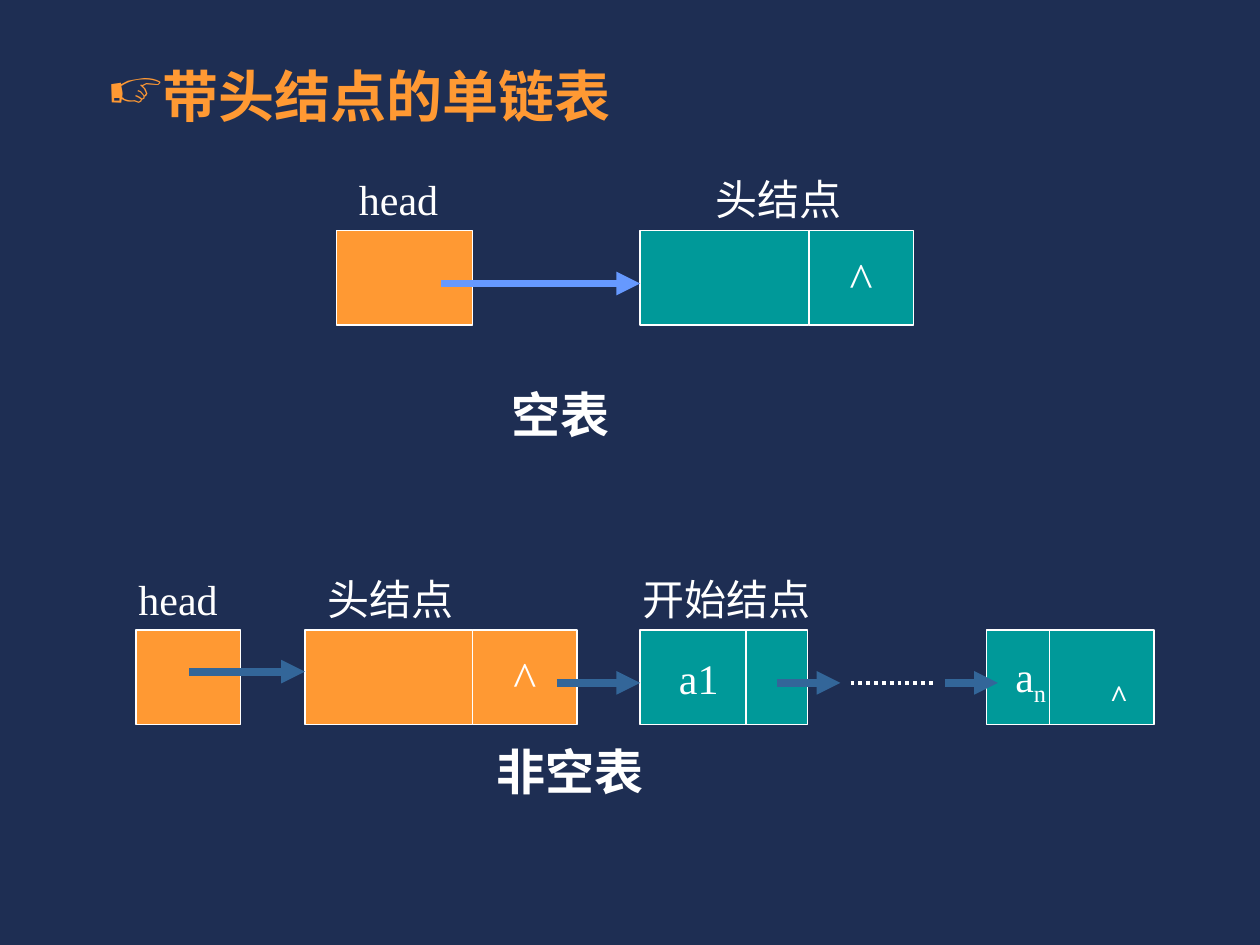
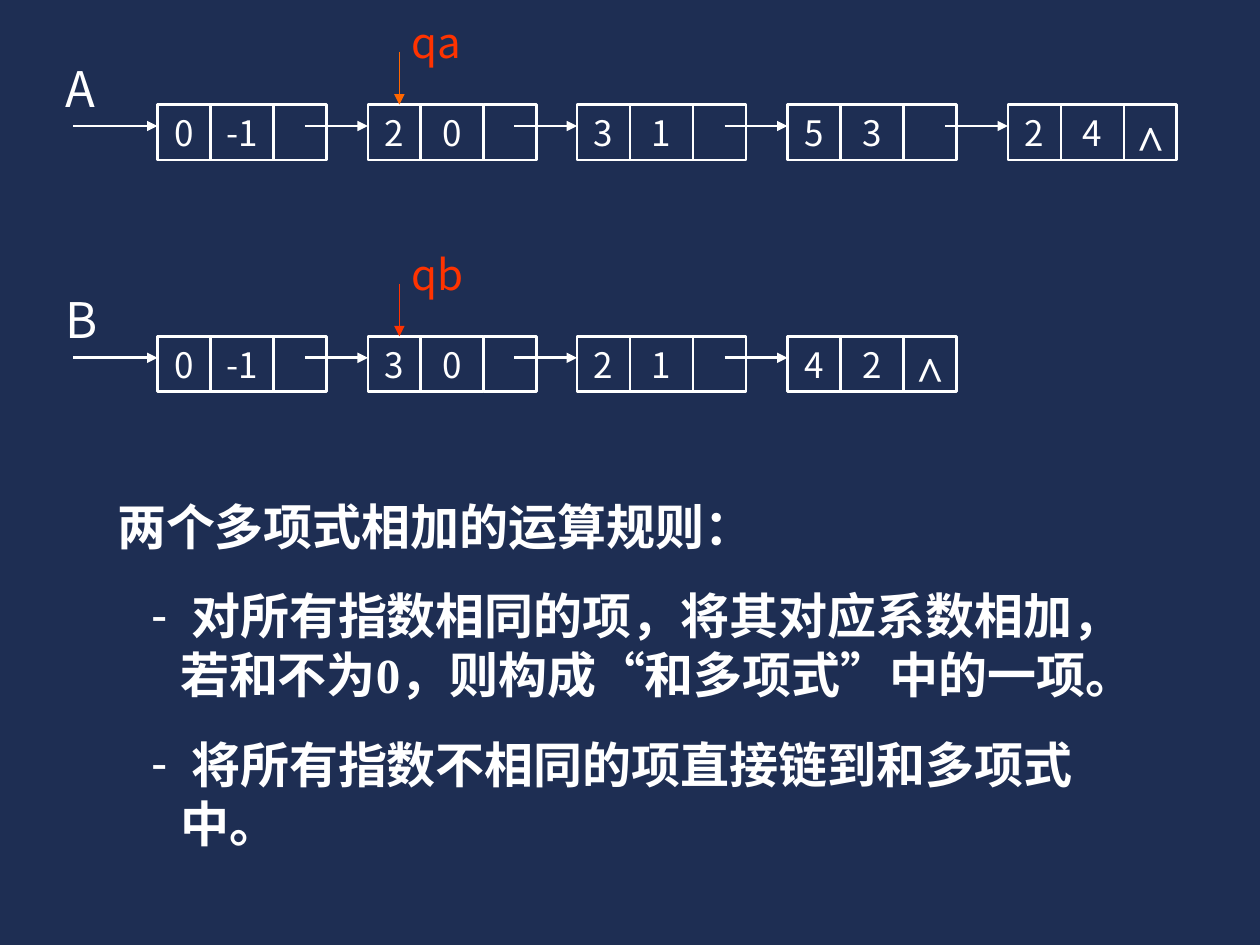
from lxml.etree import SubElement
from pptx import Presentation
from pptx.dml.color import RGBColor
from pptx.enum.dml import MSO_LINE
from pptx.enum.lang import MSO_LANGUAGE_ID as LANG
from pptx.enum.shapes import MSO_CONNECTOR, MSO_SHAPE
from pptx.enum.text import MSO_ANCHOR as ANCHOR, MSO_AUTO_SIZE, PP_ALIGN as ALIGN
from pptx.oxml.ns import qn
from pptx.util import Inches, Pt

NAVY, WHITE, ORANGE, TEAL = "1E2E53", "FFFFFF", "FF9933", "009999"
SKY, STEEL, RED, AMBER = "6699FF", "336699", "FF3300", "FF6600"
SERIF, SANS = "Times New Roman", "Noto Sans CJK JP"


def rgb(value):
    return RGBColor.from_string(value)


class Deck:
    """Holds the shared style and the current slide."""

    def __init__(self):
        self.prs = Presentation()
        self.prs.slide_width, self.prs.slide_height = Inches(10), Inches(7.5)
        fill = self.prs.slide_master.background.fill
        fill.solid()
        fill.fore_color.rgb = rgb(NAVY)

    def new_slide(self, layout):
        self.s = self.prs.slides.add_slide(self.prs.slide_layouts[layout])

    def place(self, sp, x, y, w, h):
        sp.left, sp.top, sp.width, sp.height = (Inches(v) for v in (x, y, w, h))

    def style(self, r, size, font=SERIF, color=WHITE, bold=False):
        f = r.font
        f.size, f.name, f.bold = Pt(size), font, bold
        f.color.rgb = rgb(color)
        f.language_id = LANG.SIMPLIFIED_CHINESE
        SubElement(r._r.rPr, qn("a:ea"), typeface=SANS)

    def bullet(self, p, char, color, left=0, indent=0):
        pPr = p._p.get_or_add_pPr()
        pPr.set("marL", str(Inches(left)))
        pPr.set("indent", str(Inches(indent)))
        if char:
            SubElement(SubElement(pPr, qn("a:buClr")), qn("a:srgbClr"), val=color)
            SubElement(pPr, qn("a:buChar"), char=char)
        else:
            SubElement(pPr, qn("a:buNone"))

    def frame(self, sp, anchor=ANCHOR.MIDDLE, wrap=True):
        tf = sp.text_frame
        tf.auto_size = MSO_AUTO_SIZE.NONE
        tf.word_wrap, tf.vertical_anchor = wrap, anchor
        return tf

    def title(self, mark, text):
        sp = self.s.shapes.title
        self.place(sp, 0.75, 0.5, 5.92, 0.58)
        tf = self.frame(sp)
        tf.text = text
        p = tf.paragraphs[0]
        self.bullet(p, mark, ORANGE)
        p.alignment, p.line_spacing = ALIGN.LEFT, 0.9
        self.style(p.runs[0], 32, color=ORANGE, bold=True)

    def rules(self, heading, items):
        title = self.s.shapes.title
        title._element.getparent().remove(title._element)
        sp = self.s.placeholders[1]
        self.place(sp, 0.83, 3.89, 8.17, 3.63)
        tf = self.frame(sp, ANCHOR.TOP)
        tf.text = "\n".join([heading] + items)
        for i, p in enumerate(tf.paragraphs):
            if i:
                self.bullet(p, "-", WHITE, 0.5, -0.23)
            else:
                self.bullet(p, None, None)
            p.space_before = Pt(17.5 if i else 0)
            for r in p.runs:
                self.style(r, 28, bold=True)

    def label(self, text, x, y, w, h=0.5, size=24, subscript="", **look):
        sp = self.s.shapes.add_textbox(*(Inches(v) for v in (x, y, w, h)))
        tf = self.frame(sp, wrap=not subscript)
        tf.text = text
        p = tf.paragraphs[0]
        if subscript:
            r = p.add_run()
            r.text = subscript
        for r in p.runs:
            self.style(r, size, **look)
        if subscript:
            r._r.rPr.set("baseline", "-25000")

    def cell(self, x, y, w, h, text="", fill=None, line=0.75, size=24, font=SERIF):
        sp = self.s.shapes.add_shape(MSO_SHAPE.RECTANGLE, *(Inches(v) for v in (x, y, w, h)))
        sp.shadow.inherit = False
        if fill:
            sp.fill.solid()
            sp.fill.fore_color.rgb = rgb(fill)
        else:
            sp.fill.background()
        sp.line.color.rgb, sp.line.width = rgb(WHITE), Pt(line)
        if text:
            tf = self.frame(sp)
            tf.margin_left = tf.margin_right = 0
            tf.text = text
            p = tf.paragraphs[0]
            p.alignment = ALIGN.CENTER
            self.style(p.runs[0], size, font)

    def node(self, x, y, h, widths, texts, **look):
        for w, text in zip(widths, texts):
            self.cell(x, y, w, h, text, **look)
            x += w

    def line(self, x1, y1, x2, y2, color=WHITE, width=1.5, arrow=True, dash=None):
        c = self.s.shapes.add_connector(
            MSO_CONNECTOR.STRAIGHT, *(Inches(v) for v in (x1, y1, x2, y2)))
        c.line.color.rgb, c.line.width = rgb(color), Pt(width)
        if dash:
            c.line.dash_style = dash
        if arrow:
            SubElement(c.line._get_or_add_ln(), qn("a:tailEnd"), type="triangle")
        SubElement(c._element.spPr, qn("a:effectLst"))


def head_node_slide(d):
    d.new_slide(5)
    d.title("☞", "带头结点的单链表")

    d.label("head", 2.75, 1.33, 1.08)
    d.label("头结点", 5.58, 1.33, 1.33)
    d.cell(2.67, 1.83, 1.08, 0.75, fill=ORANGE)
    d.node(5.08, 1.83, 0.75, (1.34, 0.83), ("", "^"), fill=TEAL, size=28)
    d.line(3.5, 2.25, 5.08, 2.25, SKY, 4.5)
    d.label("空表", 3.96, 3, 1.2, 0.57, 28, bold=True)

    for text, x, w in (("head", 1, 1.08), ("头结点", 2.5, 1.33), ("开始结点", 5, 1.67)):
        d.label(text, x, 4.5, w)
    d.cell(1.08, 5, 0.83, 0.75, fill=ORANGE)
    d.node(2.42, 5, 0.75, (1.33, 0.83), ("", "^"), fill=ORANGE, size=28)
    for x, divider in ((5.08, 5.92), (7.83, 8.33)):
        d.cell(x, 5, 1.33, 0.75, fill=TEAL)
        d.line(divider, 5, divider, 5.75, width=0.75, arrow=False)
    d.label("a1", 5.29, 5.13, 0.6)
    d.label("a", 7.96, 5.14, 0.5, subscript="n")
    d.label("^", 8.71, 5.34, 0.4, 0.35, 18, bold=True)
    d.line(1.5, 5.33, 2.42, 5.33, STEEL, 4.5)
    for x1, x2 in ((4.42, 5.08), (6.17, 6.67), (7.5, 7.92)):
        d.line(x1, 5.42, x2, 5.42, STEEL, 4.5)
    d.line(6.75, 5.42, 7.42, 5.42, width=2.25, arrow=False, dash=MSO_LINE.ROUND_DOT)
    d.label("非空表", 3.84, 5.83, 1.6, 0.57, 28, bold=True)


def polynomial_slide(d):
    d.new_slide(1)
    node_lefts = (1.25, 2.92, 4.58, 6.25, 8)
    polynomials = (
        ("A", "qa", 0.83, AMBER, (("0", "-1"), ("2", "0"), ("3", "1"), ("5", "3"), ("2", "4"))),
        ("B", "qb", 2.67, RED, (("0", "-1"), ("3", "0"), ("2", "1"), ("4", "2"))),
    )
    for name, pointer, top, color, terms in polynomials:
        d.label(name, 0.42, top - 0.42, 0.83, 0.57, 28, font=SANS)
        for i, (x, term) in enumerate(zip(node_lefts, terms)):
            d.node(x, top, 0.44, (0.42, 0.5, 0.42), (*term, ""), line=1.5, size=20, font=SANS)
            d.line(x - 0.5 if i else 0.58, top + 0.17, x, top + 0.17)
        d.label("^", x + 0.92, top, 0.5, 0.57, 28, bold=True)
        d.line(3.17, top - 0.42, 3.17, top, color, 0.75)
        d.label(pointer, 3.17, top - 0.75, 0.83, font=SANS, color=RED)
    d.rules("两个多项式相加的运算规则：", [
        " 对所有指数相同的项，将其对应系数相加，若和不为0，则构成“和多项式”中的一项。",
        " 将所有指数不相同的项直接链到和多项式\v中。",
    ])


def main():
    d = Deck()
    head_node_slide(d)
    polynomial_slide(d)
    d.prs.save("out.pptx")


if __name__ == "__main__":
    main()
